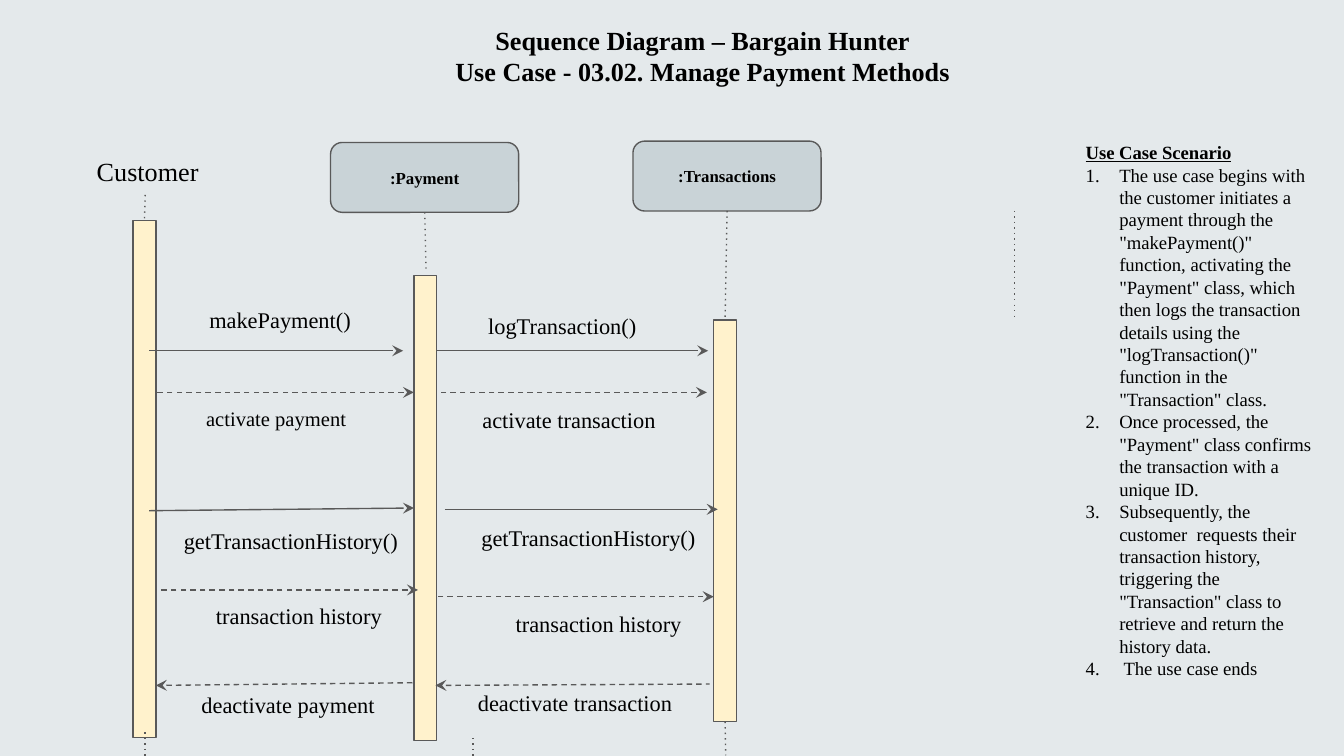
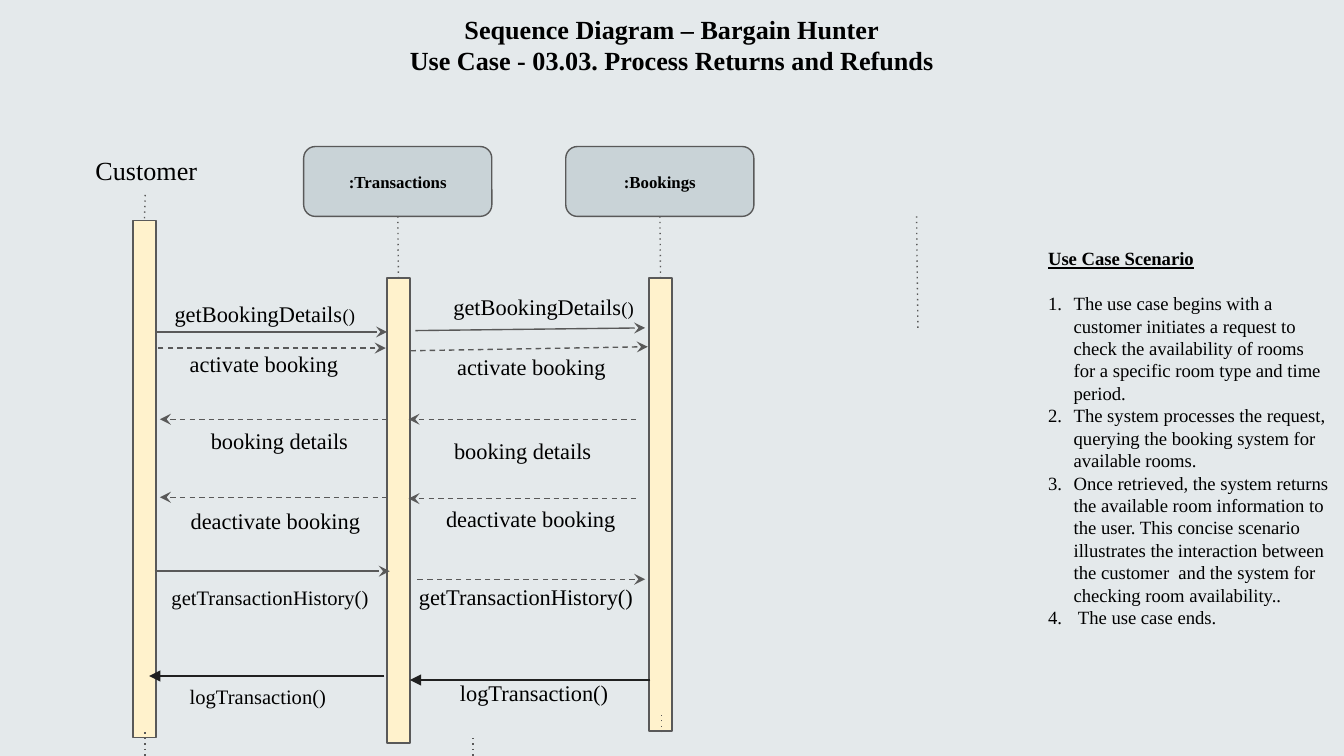
import pptx
import pptx.dml.color
import pptx.enum.shapes
import pptx.enum.text
import pptx.oxml.ns
import pptx.util
from lxml import etree

PX = 9144  # EMU in one px, 100 px to the inch
RGB = pptx.dml.color.RGBColor
PAPER = RGB(0xE4, 0xE9, 0xEB)
HEAD = RGB(0xC9, 0xD3, 0xD7)
BAR = RGB(0xFF, 0xF2, 0xCC)
INK = RGB(0x59, 0x59, 0x59)
DARK = RGB(0x20, 0x20, 0x20)
BLACK = RGB(0, 0, 0)

SHAPES = pptx.enum.shapes.MSO_SHAPE
CENTER = pptx.enum.text.PP_ALIGN.CENTER
LEFT = pptx.enum.text.PP_ALIGN.LEFT
TOP = pptx.enum.text.MSO_ANCHOR.TOP
MIDDLE = pptx.enum.text.MSO_ANCHOR.MIDDLE

HEAD_W, HEAD_H, BAR_W = 140, 52, 17

# Line styles: colour, dash, arrowhead as (end, type)
CALL = (INK, None, ("a:tailEnd", "stealth"))
REPLY = (INK, "dash", ("a:headEnd", "stealth"))
LOG = (DARK, None, ("a:tailEnd", "triangle"))
LIFE = (INK, "dot", None)

# Text formats
TITLE = {"size": pptx.util.Pt(14), "bold": True}
ACTOR = {"size": pptx.util.Pt(14)}
CLASS = {"size": pptx.util.Pt(9), "bold": True}
HEADING = {"size": pptx.util.Pt(10), "bold": True, "underline": True}
ITEM = {"size": pptx.util.Pt(10)}


def px(*values):
    return [pptx.util.Emu(v * PX) for v in values]


def sub(parent, tag, **attrs):
    return etree.SubElement(parent, pptx.oxml.ns.qn(tag), **attrs)


def write(p, text, fmt):
    r = p.add_run()
    r.text = text
    r.font.name = "Times New Roman"
    r.font.color.rgb = BLACK
    for name, value in fmt.items():
        setattr(r.font, name, value)


def frame(sp, anchor, inset):
    tf = sp.text_frame
    margins = dict(zip(("margin_left", "margin_right", "margin_top", "margin_bottom"),
                       px(10, 10, inset, inset)))
    for name, value in {"word_wrap": True, "vertical_anchor": anchor, **margins}.items():
        setattr(tf, name, value)
    return tf


def text_box(s, box, lines, fmt, anchor=TOP, inset=10):
    tf = frame(s.shapes.add_textbox(*px(*box)), anchor, inset)
    for i, text in enumerate(lines):
        p = tf.add_paragraph() if i else tf.paragraphs[0]
        p.alignment = CENTER
        write(p, text, fmt)
    return tf


def block(s, kind, box, fill):
    sp = s.shapes.add_shape(kind, *px(*box))
    sp.shadow.inherit = False
    sp.fill.solid()
    sp.fill.fore_color.rgb = fill
    sp.line.color.rgb = INK
    sp.line.width = pptx.util.Pt(0.75)
    return sp


def line(s, ends, style):
    color, dash, arrow = style
    c = s.shapes.add_connector(pptx.enum.shapes.MSO_CONNECTOR.STRAIGHT, *px(*ends))
    c.line.color.rgb = color
    c.line.width = pptx.util.Pt(0.75)
    ln = c.line._get_or_add_ln()
    if dash:
        sub(ln, "a:prstDash", val=dash)
    if arrow:
        sub(ln, arrow[0], type=arrow[1])
    sub(c._element.spPr, "a:effectLst")
    return c


def title(s, x, y, use_case):
    text_box(s, (x, y, 1000, 61), ("Sequence Diagram – Bargain Hunter", use_case), TITLE)


def actor(s, x, y):
    """Customer label at x, y with the lifeline and bar below it."""
    text_box(s, (x, y, 187, 33), [" Customer"], ACTOR)
    bar = block(s, SHAPES.RECTANGLE, (99, 164, BAR_W, 385), BAR)
    line(s, (108, 145, 108, 164), LIFE).end_connect(bar, 0)
    line(s, (108, 545, 108, 563), LIFE)
    return bar


def participant(s, x, y, name, bar_dx, bar_dy, bar_h, gap=0):
    """Class box at x, y; the lifeline stops gap px above the bar."""
    head = block(s, SHAPES.ROUNDED_RECTANGLE, (x, y, HEAD_W, HEAD_H), HEAD)
    p = frame(head, MIDDLE, 10).paragraphs[0]
    p.alignment = CENTER
    write(p, name, CLASS)
    bar = block(s, SHAPES.RECTANGLE, (x + bar_dx, y + bar_dy, BAR_W, bar_h), BAR)
    mid = x + HEAD_W // 2
    c = line(s, (mid, y + HEAD_H, mid + 1, y + bar_dy - gap), LIFE)
    c.begin_connect(head, 2)
    if not gap:
        c.end_connect(bar, 0)
    return bar


def message(s, bars, text, box, ends, style, size=12):
    """Arrow and its label; the arrow joins a bar when it meets a side's middle."""
    c = line(s, ends, style)
    for bar in bars:
        mid = bar.top + bar.height // 2
        for site, side in ((1, bar.left), (3, bar.left + bar.width)):
            if max(abs(c.end_x - side), abs(c.end_y - mid)) <= 2 * PX:
                c.end_connect(bar, site)
    name, *small = text if isinstance(text, tuple) else (text,)
    tf = text_box(s, box, [name], {"size": pptx.util.Pt(size)}, MIDDLE, 5)
    for part in small:
        write(tf.paragraphs[0], part, {"size": pptx.util.Pt(10)})


def scenario(s, box, items, indent, after=0):
    tf = frame(s.shapes.add_textbox(*px(*box)), TOP, 5)
    p = tf.paragraphs[0]
    p.space_after = pptx.util.Pt(after)
    write(p, "Use Case Scenario", HEADING)
    for item in items:
        p = tf.add_paragraph()
        p.alignment = LEFT
        pPr = p._p.get_or_add_pPr()
        pPr.set("marL", str(indent * PX))
        pPr.set("indent", str(-indent * PX))
        sub(sub(pPr, "a:buClr"), "a:srgbClr", val=str(BLACK))
        sub(pPr, "a:buFont", typeface="Times New Roman")
        sub(pPr, "a:buAutoNum", type="arabicPeriod")
        write(p, item, ITEM)


def spare_lifelines(s, *ends):
    for e in ((352, 549, 352, 567), *ends):
        line(s, e, LIFE)


def payment_slide(s):
    title(s, 23, 8, "Use Case - 03.02. Manage Payment Methods")
    bars = [actor(s, 14, 106),
            participant(s, 246, 106, ":Payment", 62, 99, 346, gap=5),
            participant(s, 471, 105, ":Transactions", 60, 133, 299)]
    line(s, (540, 537, 540, 562), LIFE).begin_connect(bars[2], 2)
    spare_lifelines(s, (755, 157, 755, 235))
    for m in (
        # Customer and Payment
        ("makePayment()", (105, 213, 207, 49), (111, 261, 300, 261), CALL),
        ("activate payment", (113, 295, 185, 33), (308, 292, 117, 292), REPLY, 11),
        ("getTransactionHistory()", (49, 387, 335, 30), (111, 380, 308, 379), CALL),
        ("transaction history", (118, 443, 209, 30), (311, 439, 120, 439), REPLY),
        ("deactivate payment", (103, 512, 223, 25), (116, 510, 307, 508), REPLY),
        # Payment and Transactions
        ("logTransaction()", (307, 226, 223, 33), (325, 261, 527, 261), CALL),
        ("activate transaction", (168, 297, 511, 30), (526, 292, 328, 292), REPLY),
        ("getTransactionHistory()", (313, 385, 250, 30), (331, 379, 534, 379), CALL),
        ("transaction history", (343, 449, 205, 30), (531, 444, 325, 444), REPLY),
        ("deactivate transaction", (323, 508, 210, 30), (324, 510, 528, 509), REPLY),
    ):
        message(s, bars, *m)
    scenario(s, (798, 100, 193, 414), (
        'The use case begins with  the customer initiates a payment through the '
        '"makePayment()" function, activating the "Payment" class, which then logs the '
        'transaction details using the "logTransaction()" function in the "Transaction" class.',
        'Once processed, the "Payment" class confirms the transaction with a unique ID.',
        'Subsequently, the customer  requests their transaction history, triggering the '
        '"Transaction" class to retrieve and return the history data.',
        ' The use case ends'), 25)


def returns_slide(s):
    title(s, 0, 0, "Use Case - 03.03. Process Returns and Refunds")
    bars = [actor(s, 13, 105),
            participant(s, 226, 109, ":Transactions", 62, 98, 346),
            participant(s, 421, 109, ":Bookings", 62, 98, 337)]
    spare_lifelines(s, (492, 545, 492, 532), (682, 161, 683, 246))
    details = ("getBookingDetails", "()")
    for m in (
        # Customer and Transactions
        (details, (79, 217, 236, 33), (116, 247, 288, 247), CALL),
        ("activate booking", (85, 254, 223, 33), (287, 259, 115, 259), REPLY),
        ("booking details", (141, 311, 134, 34), (119, 312, 288, 312), REPLY),
        ("deactivate booking", (124, 372, 162, 30), (119, 370, 288, 370), REPLY),
        ("getTransactionHistory()", (104, 421, 194, 47), (115, 425, 290, 425), CALL, 11),
        ("logTransaction()", (95, 495, 194, 47), (286, 503, 111, 503), LOG, 11),
        # Transactions and Bookings
        (details, (246, 213, 317, 30), (309, 246, 480, 244), CALL),
        ("activate booking", (299, 258, 193, 30), (482, 258, 306, 261), REPLY),
        ("booking details", (327, 320, 124, 30), (304, 312, 476, 312), REPLY),
        ("deactivate booking", (319, 371, 152, 30), (304, 371, 476, 371), REPLY),
        ("getTransactionHistory()", (130, 429, 523, 30), (480, 431, 309, 431), REPLY),
        ("logTransaction()", (304, 500, 187, 30), (484, 506, 305, 506), LOG),
    ):
        message(s, bars, *m)
    scenario(s, (770, 179, 229, 313), (
        'The use case begins with a customer initiates a request to check the availability '
        'of rooms for a specific room type and time period.',
        'The system processes the request, querying the booking system for available rooms.',
        'Once retrieved, the system returns the available room information to the user. '
        'This concise scenario illustrates the interaction between the customer  and the '
        'system for checking room availability..',
        ' The use case ends.'), 19, after=12)


def main():
    prs = pptx.Presentation()
    prs.slide_width = pptx.util.Emu(1000 * PX)
    prs.slide_height = pptx.util.Emu(prs.slide_width * 9 // 16)
    fill = prs.slide_master.background.fill
    fill.solid()
    fill.fore_color.rgb = PAPER
    for build in (payment_slide, returns_slide):
        build(prs.slides.add_slide(prs.slide_layouts[6]))
    prs.save("out.pptx")


if __name__ == "__main__":
    main()
